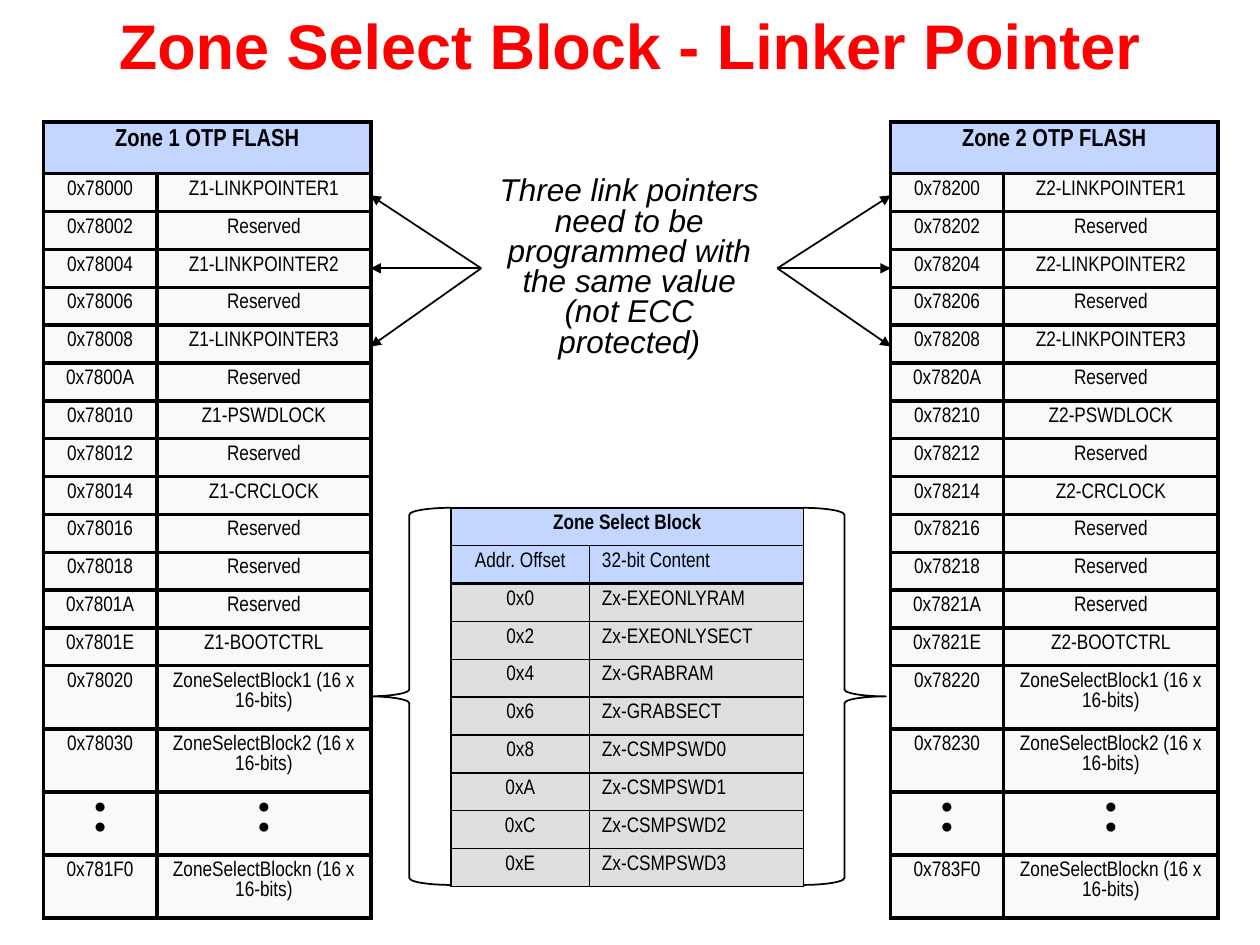
from lxml.etree import SubElement
from pptx import Presentation
from pptx.dml.color import RGBColor as RGB
from pptx.enum.shapes import MSO_CONNECTOR as CONN, MSO_SHAPE as SHAPE
from pptx.enum.text import MSO_ANCHOR as ANCHOR, PP_ALIGN as ALIGN
from pptx.oxml.ns import qn
from pptx.util import Pt

COLORS = {"title": "FF0000", "ink": "000000", "header": "C2D6FF",
          "zone": "F9F9F9", "block": "DEDEDE"}
THIN, THICK = 1, 2.25
ROW_H = 21.6

ZONE_OFFSETS = [0x0, 0x2, 0x4, 0x6, 0x8, 0xA, 0x10, 0x12, 0x14, 0x16,
                0x18, 0x1A, 0x1E, 0x20, 0x30, None, 0x1F0]
ZONE_NAMES = ["Z{}-LINKPOINTER1", "Reserved", "Z{}-LINKPOINTER2", "Reserved",
              "Z{}-LINKPOINTER3", "Reserved", "Z{}-PSWDLOCK", "Reserved",
              "Z{}-CRCLOCK", "Reserved", "Reserved", "Reserved",
              "Z{}-BOOTCTRL", "ZoneSelectBlock1 (16 x 16-bits)",
              "ZoneSelectBlock2 (16 x 16-bits)", "●\n●",
              "ZoneSelectBlockn (16 x 16-bits)"]
BLOCK_NAMES = ["EXEONLYRAM", "EXEONLYSECT", "GRABRAM", "GRABSECT",
               "CSMPSWD0", "CSMPSWD1", "CSMPSWD2", "CSMPSWD3"]


def write(tf, text, size=12, font="Arial Narrow", color="ink", bold=False,
          italic=False, align=ALIGN.CENTER, spacing=1.0):
    """Fill a text frame, one paragraph for each line of text."""
    for i, line in enumerate(text.split("\n")):
        p = tf.paragraphs[0] if i == 0 else tf.add_paragraph()
        p.alignment = align
        p.line_spacing = spacing
        r = p.add_run()
        r.text = line
        r.font.size, r.font.name = Pt(size), font
        r.font.bold, r.font.italic = bold, italic
        r.font.color.rgb = RGB.from_string(COLORS[color])


def set_borders(cell, widths):
    """Draw cell borders; widths are left, right, top, bottom in points."""
    tc_pr = cell._tc.get_or_add_tcPr()
    for side, width in zip("LRTB", widths):
        ln = SubElement(tc_pr, qn(f"a:ln{side}"), w=str(Pt(width)))
        fill = SubElement(ln, qn("a:solidFill"))
        SubElement(fill, qn("a:srgbClr"), val=COLORS["ink"])


class SlideBuilder:
    """Holds the slide and the line style of its elements."""

    def __init__(self, slide):
        self.shapes = slide.shapes
        self.ink = RGB.from_string(COLORS["ink"])

    def text(self, x, y, w, h, text, **fmt):
        tf = self.shapes.add_textbox(Pt(x), Pt(y), Pt(w), Pt(h)).text_frame
        tf.word_wrap = True
        tf.vertical_anchor = ANCHOR.MIDDLE
        write(tf, text, **fmt)

    def table(self, x, y, col_widths, rows, body, border, header_rows=1,
              header_h=ROW_H, header_size=12, name_align=ALIGN.CENTER):
        """Add a two-column table whose first row is one merged heading."""
        heights = [header_h] + [ROW_H] * (len(rows) - 1)
        table = self.shapes.add_table(
            len(rows), 2, Pt(x), Pt(y), Pt(sum(col_widths)),
            Pt(sum(heights))).table
        table.first_row = table.horz_banding = False
        for column, width in zip(table.columns, col_widths):
            column.width = Pt(width)
        table.cell(0, 0).merge(table.cell(0, 1))
        for i, values in enumerate(rows):
            table.rows[i].height = Pt(heights[i])
            top = THICK if i == header_rows > 1 else border
            bottom = THICK if i == header_rows - 1 > 0 else border
            for j, value in enumerate(values):
                cell = table.cell(i, j)
                set_borders(cell, (border, border, top, bottom))
                cell.fill.solid()
                cell.fill.fore_color.rgb = RGB.from_string(
                    COLORS["header" if i < header_rows else body])
                if value:
                    write(cell.text_frame, value, bold=i == 0,
                          size=header_size if i == 0 else 12,
                          align=name_align if i and j else ALIGN.CENTER)

    def brace(self, kind, x, y, w, h):
        sp = self.shapes.add_shape(kind, Pt(x), Pt(y), Pt(w), Pt(h))
        sp.shadow.inherit = False
        sp.fill.background()
        sp.line.color.rgb = self.ink
        sp.line.width = Pt(THIN)

    def arrow(self, x1, y1, x2, y2):
        line = self.shapes.add_connector(
            CONN.STRAIGHT, Pt(x1), Pt(y1), Pt(x2), Pt(y2))
        line.line.color.rgb = self.ink
        line.line.width = Pt(THIN)
        SubElement(line.line._ln, qn("a:tailEnd"), type="triangle")
        SubElement(line._element.spPr, qn("a:effectLst"))


def zone_rows(zone, base):
    rows = [(f"Zone {zone} OTP FLASH", "")]
    for offset, name in zip(ZONE_OFFSETS, ZONE_NAMES):
        address = "●\n●" if offset is None else f"0x{base + offset:X}"
        rows.append((address, name.format(zone)))
    return rows


def main():
    prs = Presentation()
    prs.slide_width, prs.slide_height = Pt(720), Pt(540)
    s = SlideBuilder(prs.slides.add_slide(prs.slide_layouts[6]))

    s.text(0, 0, 720, 50.4, "Zone Select Block - Linker Pointer", size=36,
           font="Arial", color="title", bold=True)

    block_rows = [("Zone Select Block", ""), ("Addr. Offset", "32-bit Content")]
    block_rows += [(f"0x{2 * i:X}", f"Zx-{name}")
                   for i, name in enumerate(BLOCK_NAMES)]
    s.table(257.8, 290.2, (79, 122.4), block_rows, "block", THIN,
            header_rows=2, name_align=ALIGN.LEFT)
    s.brace(SHAPE.LEFT_BRACE, 210.2, 290.2, 47.5, 215.5)
    s.brace(SHAPE.RIGHT_BRACE, 458.8, 290.2, 47.5, 215.5)

    for zone, x, base in ((1, 24.8, 0x78000), (2, 508.8, 0x78200)):
        s.table(x, 69.8, (64.8, 122.4), zone_rows(zone, base), "zone", THICK,
                header_h=29.5, header_size=14)

    s.text(275, 97.2, 169.2, 112.3,
           "Three link pointers need to be programmed with the same value "
           "(not ECC protected)", size=18, font="Arial", italic=True,
           spacing=0.8)
    for start, end in ((275, 211.7), (444.2, 509)):
        for y in (111.6, 153.3, 198):
            s.arrow(start, 153.3, end, y)

    prs.save("out.pptx")


if __name__ == "__main__":
    main()
